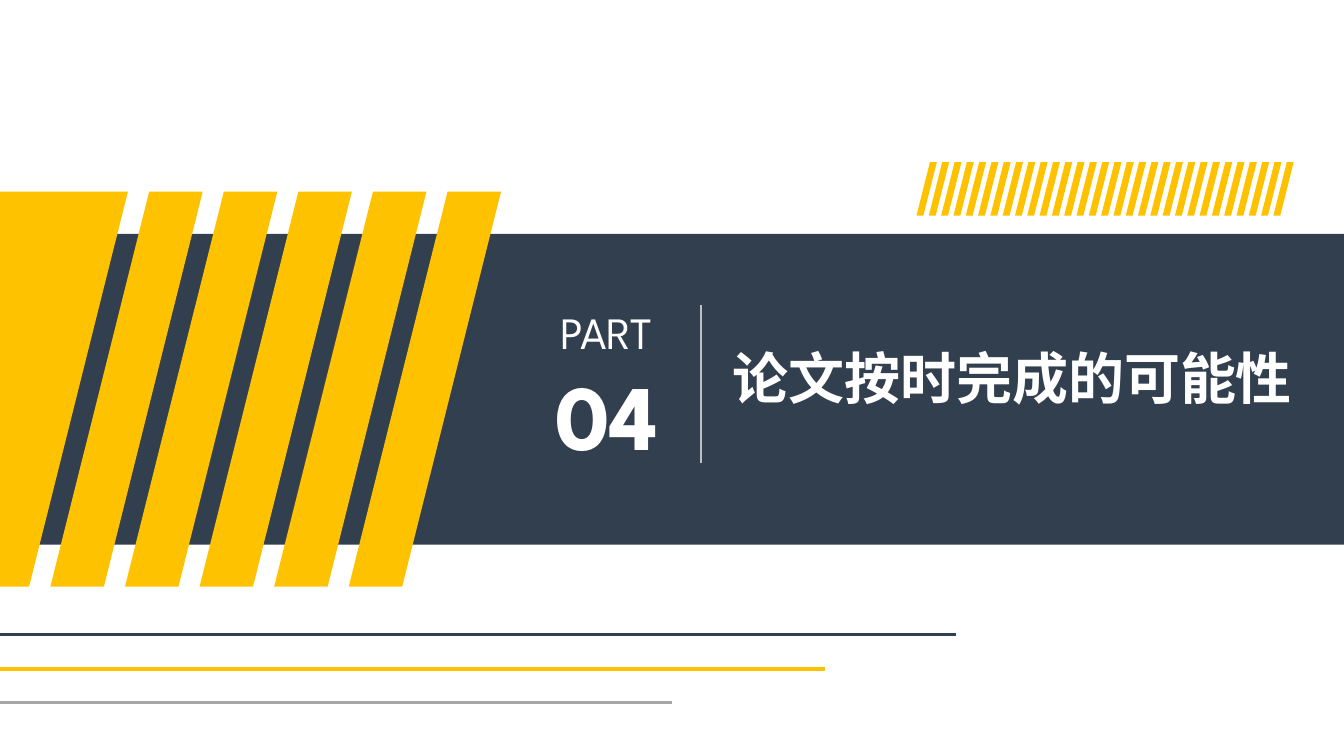
from lxml import etree
from pptx import Presentation
from pptx import util as u
from pptx.dml.color import RGBColor
from pptx.enum import shapes, text
from pptx.oxml.ns import qn

NAVY, GOLD, GREY, SILVER, WHITE = "323F4F", "FFC200", "A6A6A6", "BFBFBF", "FFFFFF"
LATIN, CJK = "League Spartan", "Noto Sans CJK SC"

SLIDE = (960, 540)
BAND = (0, 167.1, 960, 221.9)
STRIPE_SETS = [
    dict(left=36, top=136.9, width=38.2, height=282.2, lean=70.6, step=53.28, count=5),
    dict(left=-81.4, top=136.9, width=102.2, height=282.2, lean=70.6, step=0, count=1),
    dict(left=654.7, top=115.8, width=4.9, height=38.2, lean=9.6, step=8.79, count=30),
]
RULES = [
    (0, 453.3, 683, 453.3, NAVY, 2.25),
    (0, 477.9, 589.2, 477.9, GOLD, 2.25),
    (0, 502.1, 480, 502.1, GREY, 2.25),
    (500.6, 217.7, 500.6, 330.6, SILVER, 1.5),
]
PART_BOX = (388.1, 213.8, 90.7, 126)
PART = [("PART", dict(size=32)), ("04", dict(size=66, bold=True))]
TITLE_BOX = (516.2, 241.9, 414.7, 55.4)
TITLE = [("论文按时完成的可能性", dict(size=40, font=CJK, bold=True, align="LEFT"))]

prs = Presentation()
prs.slide_width, prs.slide_height = map(u.Pt, SLIDE)
s = prs.slides.add_slide(prs.slide_layouts[6])


def rgb(value):
    return RGBColor.from_string(value)


def paint(sp, color):
    sp.shadow.inherit = False
    sp.fill.solid()
    sp.fill.fore_color.rgb = rgb(color)
    sp.line.fill.background()


def add_stripes(left, top, width, height, lean, step, count):
    for i in range(count):
        x = left + i * step
        corners = [(x + lean, top), (x + lean + width, top),
                   (x + width, top + height), (x, top + height)]
        points = [(u.Pt(a), u.Pt(b)) for a, b in corners]
        outline = s.shapes.build_freeform(*points[0])
        outline.add_line_segments(points[1:], close=True)
        paint(outline.convert_to_shape(), GOLD)


def add_rule(x1, y1, x2, y2, color, weight):
    line = s.shapes.add_connector(shapes.MSO_CONNECTOR.STRAIGHT,
                                  *map(u.Pt, (x1, y1, x2, y2)))
    line.line.color.rgb = rgb(color)
    line.line.width = u.Pt(weight)
    etree.SubElement(line._element.spPr, qn("a:effectLst"))


def write(p, content, size, font=LATIN, bold=False, color=WHITE, align="CENTER"):
    p.alignment = getattr(text.PP_ALIGN, align)
    r = p.add_run()
    r.text = content
    r.font.size, r.font.bold, r.font.name = u.Pt(size), bold, font
    r.font.color.rgb = rgb(color)
    etree.SubElement(r.font._element, qn("a:ea"), typeface=font)


def add_text(box, lines):
    tf = s.shapes.add_textbox(*map(u.Pt, box)).text_frame
    tf.word_wrap = False
    tf.auto_size = text.MSO_AUTO_SIZE.SHAPE_TO_FIT_TEXT
    for i, (content, style) in enumerate(lines):
        write(tf.add_paragraph() if i else tf.paragraphs[0], content, **style)


paint(s.shapes.add_shape(shapes.MSO_SHAPE.RECTANGLE, *map(u.Pt, BAND)), NAVY)
for stripes in STRIPE_SETS:
    add_stripes(**stripes)
for rule in RULES:
    add_rule(*rule)
add_text(PART_BOX, PART)
add_text(TITLE_BOX, TITLE)

prs.save("out.pptx")
